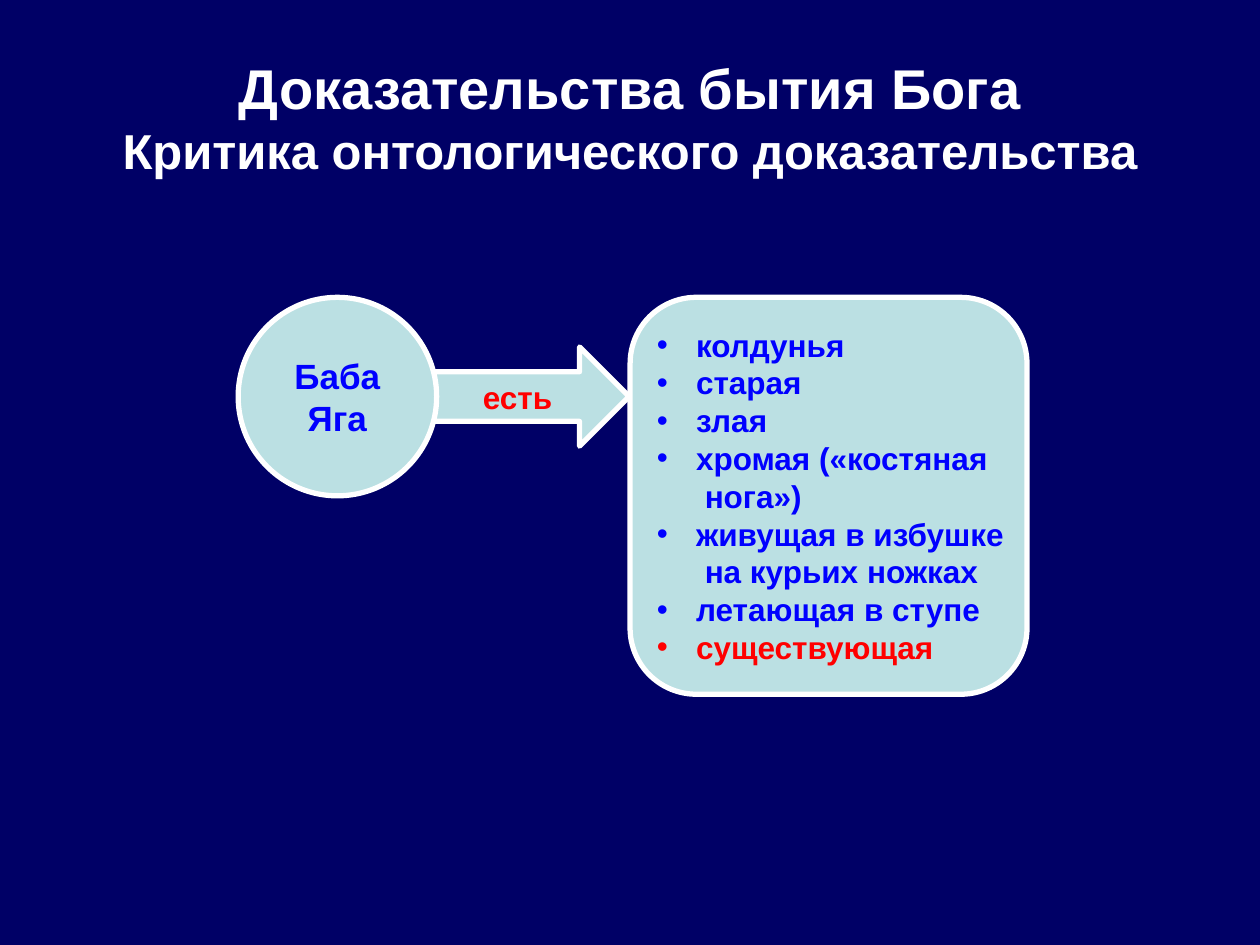
import pptx
import pptx.util
import pptx.dml.color
import pptx.enum.shapes
import pptx.enum.text
import pptx.oxml.ns
import lxml.etree

RGB = pptx.dml.color.RGBColor
NAVY = RGB(0x00, 0x00, 0x66)
PALE = RGB(0xBB, 0xE0, 0xE3)
WHITE = RGB(0xFF, 0xFF, 0xFF)
BLUE = RGB(0x00, 0x00, 0xFF)
RED = RGB(0xFF, 0x00, 0x00)

KIND = pptx.enum.shapes.MSO_SHAPE
ALIGN = pptx.enum.text.PP_ALIGN
MIDDLE = pptx.enum.text.MSO_ANCHOR.MIDDLE
INCH = pptx.util.Inches

CELL = 3.15 / 4          # side of one grid square, inches
LEFT, TOP = 1.89, 2.36   # corner of the diagram grid
INDENT = 0.31

TRAITS = [
    ("колдунья", BLUE),
    ("старая", BLUE),
    ("злая", BLUE),
    ("хромая («костяная\v нога»)", BLUE),
    ("живущая в избушке\v на курьих ножках", BLUE),
    ("летающая в ступе", BLUE),
    ("существующая", RED),
]


def grid(col, row, cols, rows):
    """Turn grid columns and rows into a box in EMU."""
    return (INCH(LEFT + col * CELL), INCH(TOP + row * CELL),
            INCH(cols * CELL), INCH(rows * CELL))


def write(para, text, size, color, align=ALIGN.CENTER):
    """Fill a paragraph; a vertical tab in the text breaks the line."""
    para.alignment = align
    for num, line in enumerate(text.split("\v")):
        if num:
            para.add_line_break()
        run = para.add_run()
        run.text = line
        style = {"name": "Arial", "size": pptx.util.Pt(size), "bold": True}
        for key, value in style.items():
            setattr(run.font, key, value)
        run.font.color.rgb = color


def bullet(para):
    props = para._p.get_or_add_pPr()
    props.set("marL", str(INCH(INDENT)))
    props.set("indent", str(-INCH(INDENT)))
    tag = pptx.oxml.ns.qn
    lxml.etree.SubElement(props, tag("a:buFont")).set("typeface", "Arial")
    lxml.etree.SubElement(props, tag("a:buChar")).set("char", "•")


def block(slide, kind, box):
    """Add a pale shape with a white rim and return it."""
    shape = slide.shapes.add_shape(kind, *box)
    shape.shadow.inherit = False
    shape.fill.solid()
    shape.fill.fore_color.rgb = PALE
    shape.line.color.rgb = WHITE
    shape.line.width = pptx.util.Pt(3)
    shape.text_frame.vertical_anchor = MIDDLE
    shape.text_frame.word_wrap = False
    return shape


def label(slide, kind, box, text, size, color):
    shape = block(slide, kind, box)
    write(shape.text_frame.paragraphs[0], text, size, color)


def title(slide, box):
    frame = slide.shapes.add_textbox(*box).text_frame
    frame.word_wrap = True
    frame.vertical_anchor = MIDDLE
    para = frame.paragraphs[0]
    write(para, "Доказательства бытия Бога", 32, WHITE)
    para.add_line_break()
    write(para, "Критика онтологического доказательства", 28, WHITE)


def panel(slide, box):
    """Rounded box with the bulleted list of traits."""
    frame = block(slide, KIND.ROUNDED_RECTANGLE, box).text_frame
    form = {"word_wrap": True, "margin_left": INCH(0.06), "margin_right": 0,
            "margin_top": INCH(0.05), "margin_bottom": INCH(0.05)}
    for key, value in form.items():
        setattr(frame, key, value)
    for num, (text, color) in enumerate(TRAITS):
        para = frame.add_paragraph() if num else frame.paragraphs[0]
        write(para, text, 18, color, ALIGN.LEFT)
        bullet(para)


def main():
    deck = pptx.Presentation()
    deck.slide_width, deck.slide_height = INCH(10), INCH(7.5)
    slide = deck.slides.add_slide(deck.slide_layouts[6])
    slide.background.fill.solid()
    slide.background.fill.fore_color.rgb = NAVY

    wide, high = deck.slide_width, deck.slide_height
    label(slide, KIND.RIGHT_ARROW, grid(1.94, 0.5, 2, 1), "есть", 18, RED)
    title(slide, (int(wide * 0.05), int(high * 0.04),
                  int(wide * 0.9), int(high / 6)))
    label(slide, KIND.OVAL, grid(0, 0, 2, 2), "Баба\vЯга", 20, BLUE)
    panel(slide, grid(3.95, 0, 4, 4))
    deck.save("out.pptx")


if __name__ == "__main__":
    main()
